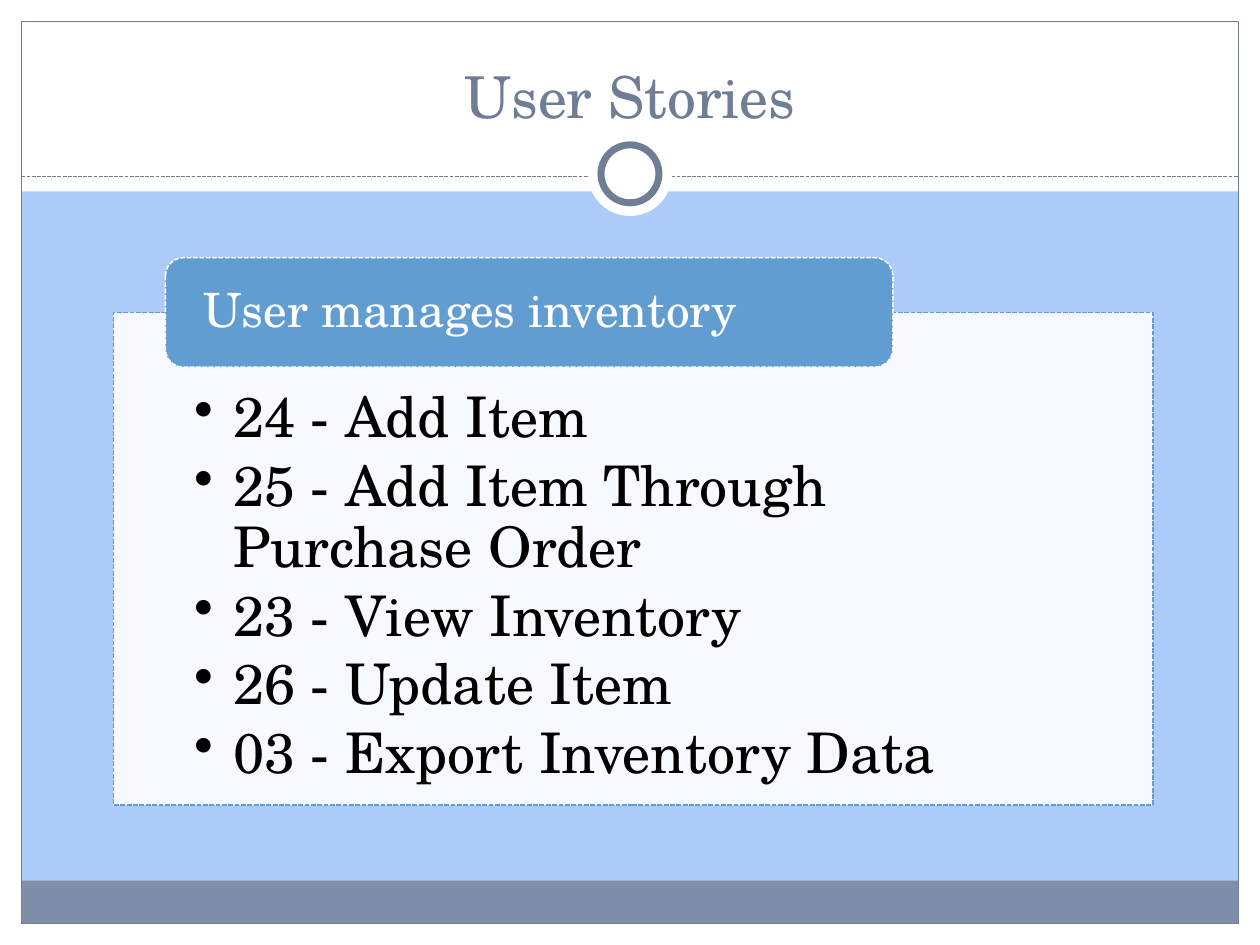
"""Build the User Stories slide with its framed inventory list."""
from lxml import etree
from pptx import Presentation
from pptx.dml.color import RGBColor
from pptx.enum.dml import MSO_LINE
from pptx.enum.shapes import MSO_CONNECTOR, MSO_SHAPE
from pptx.enum.text import MSO_ANCHOR, MSO_AUTO_SIZE, PP_ALIGN
from pptx.oxml.ns import qn
from pptx.util import Inches, Pt

RECT, ROUND, OVAL = MSO_SHAPE.RECTANGLE, MSO_SHAPE.ROUNDED_RECTANGLE, MSO_SHAPE.OVAL
DASH, LINE = MSO_LINE.SQUARE_DOT, MSO_CONNECTOR.STRAIGHT
TOP, MID, LOW = MSO_ANCHOR.TOP, MSO_ANCHOR.MIDDLE, MSO_ANCHOR.BOTTOM
LEFT, MIDDLE = PP_ALIGN.LEFT, PP_ALIGN.CENTER
FIXED = MSO_AUTO_SIZE.NONE

TITLE = "User Stories"
HEAD = "User manages inventory"
STORIES = [
    "24 - Add Item",
    "25 - Add Item Through Purchase Order",
    "23 - View Inventory",
    "26 - Update Item",
    "03 - Export Inventory Data",
]
FONT = "TeX Gyre Schola"
SKY, WHITE, SLATE, FOOT, BLUE, BLACK = (
    "ACCBF9", "FFFFFF", "707E95", "7F8FA9", "629DD1", "000000")
WIDE, HIGH, EDGE = 10, 7.5, 0.17
BAND, RULE, STRIP = 1.52, 1.4, 0.34
RING_Y = 1.38
CARD = (0.9, 2.48, 8.25, 3.91)
TAB_H = 0.87
TAB = (CARD[0] + CARD[2] * 0.05, CARD[1] - TAB_H / 2, CARD[2] * 0.7, TAB_H)


def color(code):
    return RGBColor.from_string(code)


def stroke(line, code, width, dash=None):
    line.color.rgb = color(code)
    line.width = Pt(width)
    if dash:
        line.dash_style = dash


def draw(shapes, kind, box, fill=None, line=None):
    shape = shapes.add_shape(kind, *map(Inches, box))
    shape.shadow.inherit = False
    if fill:
        shape.fill.solid()
        shape.fill.fore_color.rgb = color(fill)
    else:
        shape.fill.background()
    if line:
        stroke(shape.line, *line)
    else:
        shape.line.fill.background()
    return shape


def write(shape, texts, size, ink, anchor=TOP, align=LEFT, pads=(0.1, 0.05, 0.1, 0.05),
          space=1, after=0, hang=0):
    frame = shape.text_frame
    frame.word_wrap, frame.auto_size = True, FIXED
    frame.vertical_anchor = anchor
    (frame.margin_left, frame.margin_top,
     frame.margin_right, frame.margin_bottom) = map(Inches, pads)
    for i, text in enumerate(texts):
        para = frame.add_paragraph() if i else frame.paragraphs[0]
        para.alignment, para.line_spacing = align, space
        para.space_before, para.space_after = Pt(0), Pt(after)
        if hang:
            para.level = 1
            props = para._p.get_or_add_pPr()
            props.set("marL", str(Inches(hang)))
            props.set("indent", str(-Inches(hang)))
            etree.SubElement(props, qn("a:buChar")).set("char", "•")
        run = para.add_run()
        run.text = text
        run.font.name, run.font.size = FONT, Pt(size)
        run.font.color.rgb = color(ink)


def ring(shapes, size, line=None):
    draw(shapes, OVAL, ((WIDE - size) / 2, RING_Y - size / 2, size, size), WHITE, line)


def main():
    deck = Presentation()
    deck.slide_width, deck.slide_height = Inches(WIDE), Inches(HIGH)
    slide = deck.slides.add_slide(deck.slide_layouts[5])
    shapes = slide.shapes
    slide.background.fill.solid()
    slide.background.fill.fore_color.rgb = color(SKY)

    inner = WIDE - 2 * EDGE
    for box in [(0, HIGH - EDGE, WIDE, EDGE), (0, 0, WIDE, BAND),
                (0, 0, EDGE, HIGH), (WIDE - EDGE, 0, EDGE, HIGH)]:
        draw(shapes, RECT, box, WHITE)
    draw(shapes, RECT, (EDGE, HIGH - EDGE - STRIP, inner, STRIP), FOOT)
    draw(shapes, RECT, (EDGE, EDGE, inner, HIGH - 2 * EDGE), line=(SLATE, 0.75))
    ends = (EDGE, RULE, WIDE - EDGE, RULE)
    rule = shapes.add_connector(LINE, *map(Inches, ends))
    stroke(rule.line, SLATE, 0.75, DASH)
    etree.SubElement(rule._element.spPr, qn("a:effectLst"))
    ring(shapes, 0.67)
    ring(shapes, 0.46, (SLATE, 4))

    title = shapes.title
    title.left, title.top, title.width, title.height = map(
        Inches, (WIDE / 30, HIGH / 30, WIDE * 14 / 15, HIGH / 9))
    write(title, [TITLE], 33, SLATE, anchor=LOW, align=MIDDLE)
    shapes._spTree.append(title._element)

    card = draw(shapes, RECT, CARD, WHITE, (BLUE, 0.9, DASH))
    tint = card._element.spPr.find(qn("a:solidFill"))[0]
    etree.SubElement(tint, qn("a:alpha")).set("val", "90000")
    write(card, STORIES, 32, BLACK, pads=(0.64, 0.61, 0.64, 0.25),
          space=0.9, after=4.8, hang=0.31)
    tab = draw(shapes, ROUND, TAB, BLUE, (WHITE, 0.9, DASH))
    write(tab, [HEAD], 27, WHITE, anchor=MID, pads=(0.26, 0, 0.26, 0), space=0.9)
    deck.save("out.pptx")


if __name__ == "__main__":
    main()
